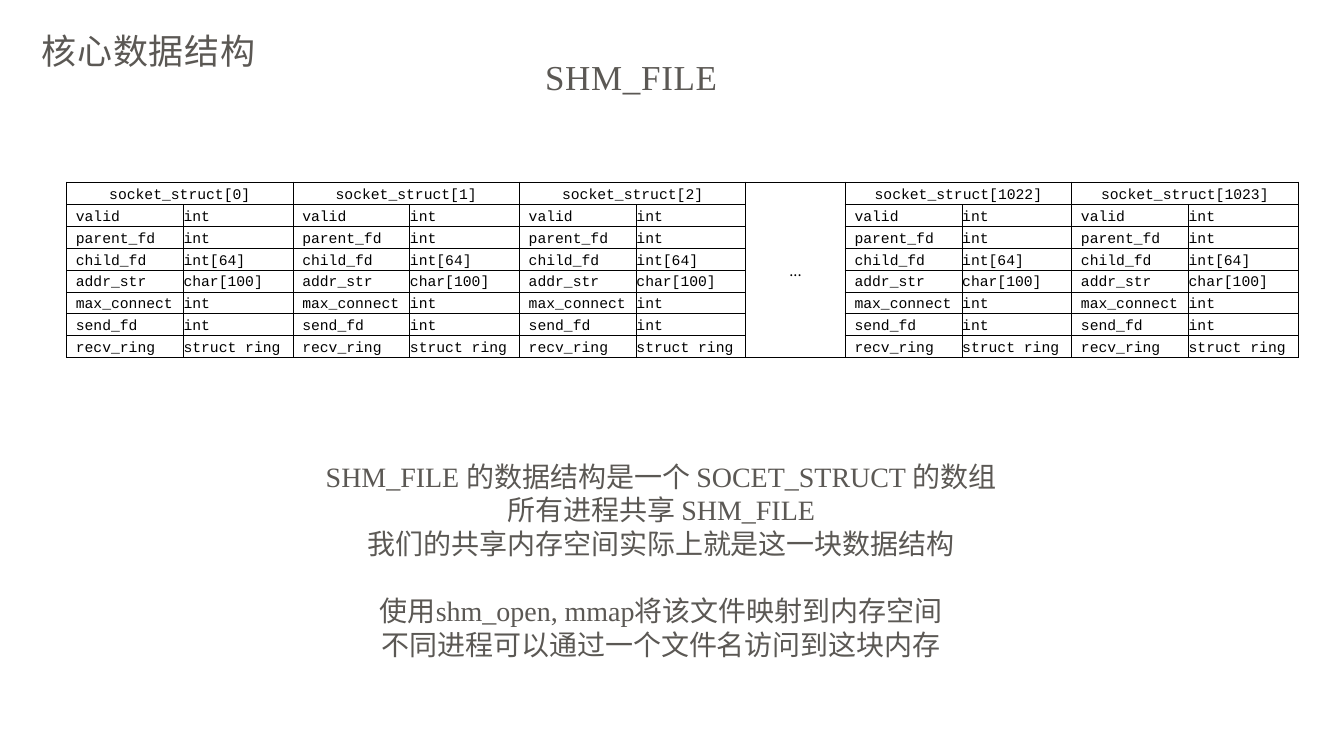
import dataclasses

import lxml.etree
import pptx
import pptx.dml.color
import pptx.enum.text
import pptx.oxml.ns
import pptx.util

ALIGN = pptx.enum.text.PP_ALIGN
ANCHOR = pptx.enum.text.MSO_ANCHOR


@dataclasses.dataclass(frozen=True)
class Theme:
    ink: str = "5B5854"
    line: str = "000000"
    heading_font: str = "Times New Roman"
    label_font: str = "Calibri"
    code_font: str = "Courier New"
    ellipsis_font: str = "Noto Sans CJK SC"
    heading_size: int = 50
    body_size: int = 40
    code_size: int = 21
    leading: float = 1.2
    thick: float = 1.5
    thin: float = 0.5


THEME = Theme()
WIDTH, HEIGHT = pptx.util.Inches(26.67), pptx.util.Inches(15)

# Shares of the slide, in percent
FIELD_WIDTH, TYPE_WIDTH, GAP_WIDTH = 8.67, 8.18, 7.39
EDGE_ROW, INNER_ROW = 3.0, 2.88

STRUCT_INDEXES = [0, 1, 2, None, 1022, 1023]  # None is the skipped range
FIELDS = [
    ("valid", "int"),
    ("parent_fd", "int"),
    ("child_fd", "int[64]"),
    ("addr_str", "char[100]"),
    ("max_connect", "int"),
    ("send_fd", "int"),
    ("recv_ring", "struct ring"),
]
# Each group is set apart by one blank line's height
NOTES = [
    ["SHM_FILE 的数据结构是一个 SOCET_STRUCT 的数组",
     "所有进程共享 SHM_FILE",
     "我们的共享内存空间实际上就是这一块数据结构"],
    ["使用shm_open, mmap将该文件映射到内存空间",
     "不同进程可以通过一个文件名访问到这块内存"],
]


def across(percent):
    return round(WIDTH * percent / 100)


def down(percent):
    return round(HEIGHT * percent / 100)


def add_run(paragraph, text, font, size, color, tracking=0):
    run = paragraph.add_run()
    run.text = text
    run.font.name = font
    run.font.size = pptx.util.Pt(size)
    run.font.color.rgb = pptx.dml.color.RGBColor.from_string(color)
    if tracking:
        run.font._element.set("spc", str(round(tracking * 100)))


def add_text_frame(slide, left, top, width, height, margin, wrap=False, anchor=ANCHOR.TOP):
    shape = slide.shapes.add_textbox(across(left), down(top), across(width), down(height))
    frame = shape.text_frame
    frame.word_wrap = wrap
    frame.vertical_anchor = anchor
    if not wrap:
        frame.auto_size = pptx.enum.text.MSO_AUTO_SIZE.SHAPE_TO_FIT_TEXT
    frame.margin_left = frame.margin_right = pptx.util.Inches(margin)
    frame.margin_top = frame.margin_bottom = pptx.util.Inches(margin)
    return frame


def add_title(slide):
    frame = add_text_frame(slide, 12.71, 6.27, 67.23, 7.67, 0.08, True, ANCHOR.MIDDLE)
    paragraph = frame.paragraphs[0]
    paragraph.alignment = ALIGN.CENTER
    paragraph._p.get_or_add_pPr().set("indent", str(pptx.util.Inches(0.34)))
    add_run(paragraph, "SHM_FILE", THEME.heading_font, THEME.heading_size, THEME.ink, 1)


def add_section_label(slide):
    paragraph = add_text_frame(slide, 2.89, 3.53, 16.35, 7.13, 0.05).paragraphs[0]
    paragraph.alignment = ALIGN.CENTER
    paragraph.line_spacing = pptx.util.Pt(THEME.heading_size * THEME.leading)
    add_run(paragraph, "核心数据结构", THEME.label_font, THEME.heading_size, THEME.ink, 1)


def add_notes(slide):
    frame = add_text_frame(slide, 22.98, 60.2, 52.42, 31.2, 0.08)
    leading = pptx.util.Pt(THEME.body_size * THEME.leading)
    for group_number, group in enumerate(NOTES):
        for line_number, text in enumerate(group):
            first = group_number == line_number == 0
            paragraph = frame.paragraphs[0] if first else frame.add_paragraph()
            paragraph.alignment = ALIGN.CENTER
            paragraph.line_spacing = leading
            if group_number and line_number == 0:
                paragraph.space_before = leading
            add_run(paragraph, text, THEME.heading_font, THEME.body_size, THEME.ink)


def style_cell(cell, thick_sides):
    """Draw the four borders, thick on the named sides (L, R, T, B), and clear the fill."""
    properties = cell._tc.get_or_add_tcPr()
    qualified = pptx.oxml.ns.qn
    for side in "LRTB":
        width = THEME.thick if side in thick_sides else THEME.thin
        border = lxml.etree.SubElement(properties, qualified("a:ln" + side),
                                       w=str(pptx.util.Pt(width)))
        fill = lxml.etree.SubElement(border, qualified("a:solidFill"))
        lxml.etree.SubElement(fill, qualified("a:srgbClr"), val=THEME.line)
    cell.fill.background()
    cell.margin_left = cell.margin_right = pptx.util.Inches(0.01)
    cell.margin_top = cell.margin_bottom = pptx.util.Inches(0.01)


def fill_cell(cell, text, font=THEME.code_font, alignment=ALIGN.LEFT, anchor=ANCHOR.BOTTOM):
    cell.vertical_anchor = anchor
    paragraph = cell.text_frame.paragraphs[0]
    paragraph.alignment = alignment
    add_run(paragraph, text, font, THEME.code_size, THEME.line)


def add_struct(table, column, index):
    """Fill two columns: a merged heading over field names and types."""
    last_row = len(FIELDS)
    for row in range(last_row + 1):
        edge = "T" if row == 0 else "B" if row == last_row else ""
        style_cell(table.cell(row, column), edge + ("LR" if row == 0 else "L"))
        style_cell(table.cell(row, column + 1), edge + "R")
    heading = table.cell(0, column)
    heading.merge(table.cell(0, column + 1))
    fill_cell(heading, f"socket_struct[{index}]", alignment=ALIGN.CENTER)
    for row, (name, kind) in enumerate(FIELDS, 1):
        fill_cell(table.cell(row, column), " " + name)
        fill_cell(table.cell(row, column + 1), kind)


def add_skipped_range(table, column):
    for row in range(len(FIELDS) + 1):
        style_cell(table.cell(row, column), "LRTB")
    cell = table.cell(0, column)
    cell.merge(table.cell(len(FIELDS), column))
    fill_cell(cell, "...", THEME.ellipsis_font, ALIGN.CENTER, ANCHOR.MIDDLE)


def add_struct_table(slide):
    widths = []
    for index in STRUCT_INDEXES:
        widths += [GAP_WIDTH] if index is None else [FIELD_WIDTH, TYPE_WIDTH]
    heights = [EDGE_ROW] + [INNER_ROW] * (len(FIELDS) - 1) + [EDGE_ROW]
    table = slide.shapes.add_table(len(heights), len(widths), across(4.95), down(24.07),
                                   across(sum(widths)), down(sum(heights))).table
    table.first_row = table.horz_banding = False
    for column, width in zip(table.columns, widths):
        column.width = across(width)
    for row, height in zip(table.rows, heights):
        row.height = down(height)

    column = 0
    for index in STRUCT_INDEXES:
        if index is None:
            add_skipped_range(table, column)
            column += 1
        else:
            add_struct(table, column, index)
            column += 2


def main():
    presentation = pptx.Presentation()
    presentation.slide_width, presentation.slide_height = WIDTH, HEIGHT
    slide = presentation.slides.add_slide(presentation.slide_layouts[6])
    add_title(slide)
    add_section_label(slide)
    add_struct_table(slide)
    add_notes(slide)
    presentation.save("out.pptx")


if __name__ == "__main__":
    main()
